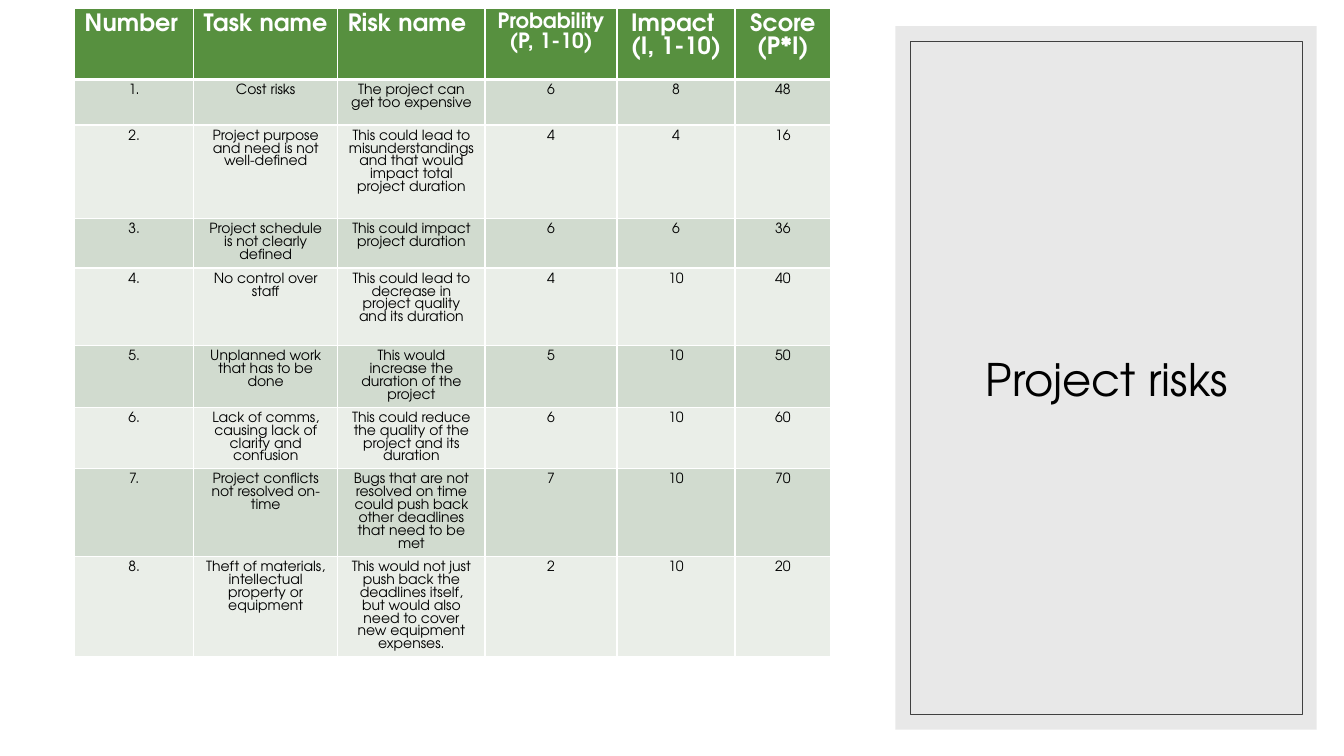
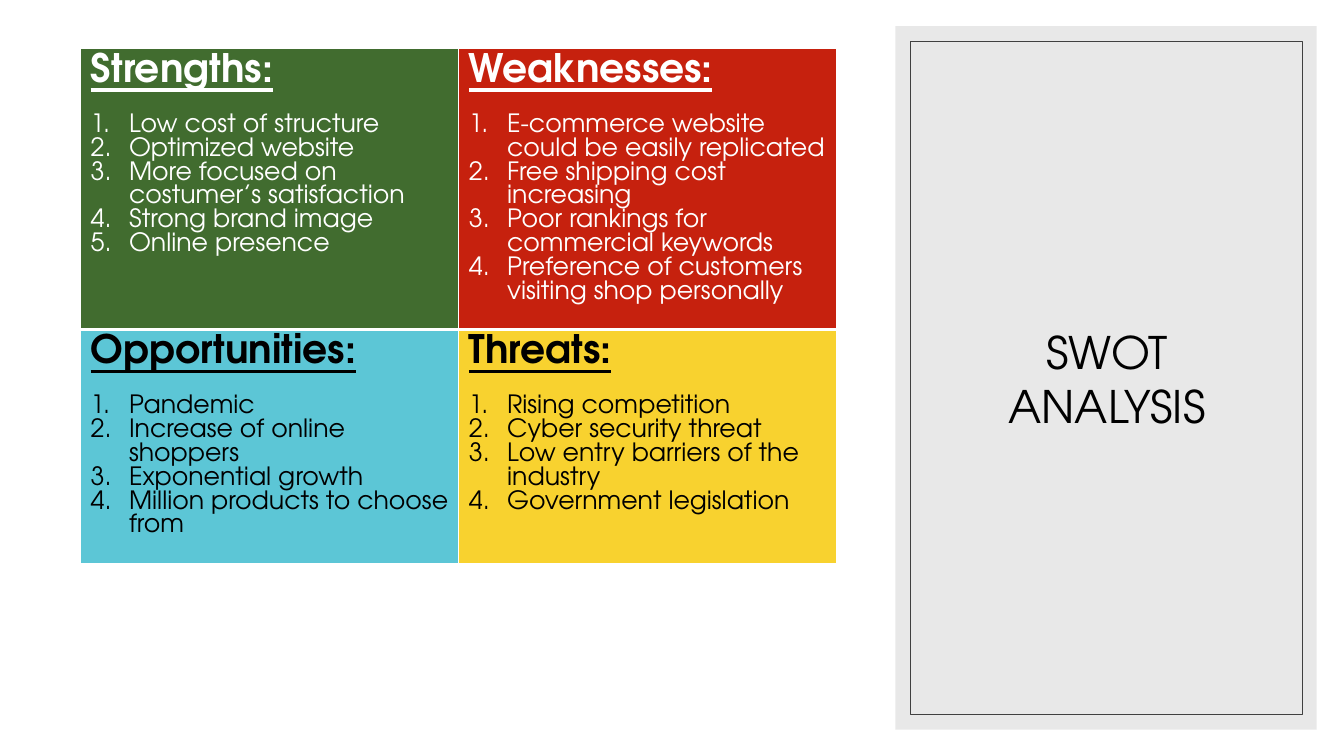
from lxml import etree
from pptx import Presentation
from pptx.dml.color import RGBColor
from pptx.enum.shapes import MSO_SHAPE
from pptx.enum.text import MSO_ANCHOR, PP_ALIGN
from pptx.oxml.ns import qn
from pptx.util import Inches, Pt

RECT = MSO_SHAPE.RECTANGLE
MIDDLE = MSO_ANCHOR.MIDDLE
LEFT, CENTER = PP_ALIGN.LEFT, PP_ALIGN.CENTER

FONT = "TeX Gyre Adventor"
BLACK = RGBColor(0x00, 0x00, 0x00)
WHITE = RGBColor(0xFF, 0xFF, 0xFF)
PANEL = RGBColor(0xD9, 0xD9, 0xD9)
FRAME = RGBColor(0x40, 0x40, 0x40)
HEADER = RGBColor(0x57, 0x90, 0x3F)
BANDS = [RGBColor(0xD1, 0xDB, 0xCF), RGBColor(0xEA, 0xEE, 0xE8)]
GREEN = RGBColor(0x41, 0x6C, 0x2F)
RED = RGBColor(0xC6, 0x21, 0x0E)
BLUE = RGBColor(0x5C, 0xC6, 0xD6)
YELLOW = RGBColor(0xF8, 0xD2, 0x2F)

# Line height in points for each text size
LINE_HEIGHT = {10: 9.2, 15: 14.1, 17: 16.2, 18: 17, 28: 26, 32: 38}


def add_text(tf, text, size, color, align=LEFT, bold=False):
    """Fill the first paragraph if it is empty, otherwise append one."""
    p = tf.paragraphs[0] if not tf.text else tf.add_paragraph()
    p.alignment = align
    p.line_spacing = Pt(LINE_HEIGHT[size])
    r = p.add_run()
    r.text = text
    r.font.name = FONT
    r.font.size = Pt(size)
    r.font.bold = bold
    r.font.color.rgb = color
    return p


def style_cell(cell, fill, bottom=1):
    """Set the fill and the white borders of a cell."""
    cell.fill.solid()
    cell.fill.fore_color.rgb = fill
    tcPr = cell._tc.get_or_add_tcPr()
    widths = {"a:lnL": 1, "a:lnR": 1, "a:lnT": 1, "a:lnB": bottom}
    for i, (tag, width) in enumerate(widths.items()):
        ln = etree.Element(qn(tag), w=str(Pt(width)))
        line_fill = etree.SubElement(ln, qn("a:solidFill"))
        etree.SubElement(line_fill, qn("a:srgbClr"), val=str(WHITE))
        tcPr.insert(i, ln)


prs = Presentation()
prs.slide_width, prs.slide_height = Inches(13.33), Inches(7.5)

# Side panel with title, and an empty table, on both slides
COLS = [[1.18, 1.43, 1.46, 1.31, 1.17, 0.95], [3.75, 3.75]]
ROWS = [[0.71, 0.45, 0.93, 0.49, 0.77, 0.61, 0.61, 0.87, 0.99], [2.79, 2.32]]
tables = []
for title, left, top, cols, rows in zip(
        ["Project risks", "SWOT ANALYSIS"], [0.74, 0.8], [0.08, 0.48], COLS, ROWS):
    s = prs.slides.add_slide(prs.slide_layouts[6])

    panel = s.shapes.add_shape(RECT, Inches(8.88), Inches(0.26), Inches(4.18), Inches(6.98))
    panel.shadow.inherit = False
    panel.fill.solid()
    panel.fill.fore_color.rgb = PANEL
    panel.line.fill.background()
    color = panel._element.spPr.find(qn("a:solidFill"))[0]
    etree.SubElement(color, qn("a:alpha"), val="60000")

    frame = s.shapes.add_shape(RECT, Inches(9.03), Inches(0.41), Inches(3.89), Inches(6.68))
    frame.shadow.inherit = False
    frame.fill.background()
    frame.line.color.rgb = FRAME
    frame.line.width = Pt(0.5)

    tf = s.shapes.add_textbox(Inches(9.28), Inches(0.66), Inches(3.4), Inches(6.2)).text_frame
    tf.word_wrap = True
    tf.vertical_anchor = MIDDLE
    add_text(tf, title, 32, BLACK, CENTER)

    table = s.shapes.add_table(len(rows), len(cols), Inches(left), Inches(top),
                               Inches(sum(cols)), Inches(sum(rows))).table
    table.first_row = table.horz_banding = False
    for column, width in zip(table.columns, cols):
        column.width = Inches(width)
    for row, height in zip(table.rows, rows):
        row.height = Inches(height)
    tables.append(table)
risk_table, swot_table = tables

# Risk table: header
headers = [
    (["Number"], 17, LEFT),
    (["Task name"], 17, LEFT),
    (["Risk name"], 17, LEFT),
    (["Probability (P, 1-10)"], 15, CENTER),
    (["Impact ", "(I, 1-10)"], 17, CENTER),
    (["Score", "(P*I)"], 17, CENTER),
]
for col, (lines, size, align) in enumerate(headers):
    cell = risk_table.cell(0, col)
    style_cell(cell, HEADER, bottom=3)
    for line in lines:
        add_text(cell.text_frame, line, size, WHITE, align, bold=True)

# Risk table: task, risk, probability and impact; the score is their product
risks = [
    ("Cost risks", "The project can get too expensive", 6, 8),
    ("Project purpose and need is not well-defined",
     "This could lead to misunderstandings and that would impact total project duration", 4, 4),
    ("Project schedule is not clearly defined", "This could impact project duration", 6, 6),
    ("No control over staff",
     "This could lead to decrease in project quality and its duration", 4, 10),
    ("Unplanned work that has to be done",
     "This would increase the duration of the project", 5, 10),
    ("Lack of comms, causing lack of clarity and confusion",
     "This could reduce the quality of the project and its duration", 6, 10),
    ("Project conflicts not resolved on-time",
     "Bugs that are not resolved on time could push back other deadlines that need to be met",
     7, 10),
    ("Theft of materials, intellectual property or equipment",
     "This would not just push back the deadlines itself, but would also need to cover "
     "new equipment expenses.", 2, 10),
]
for row, (task, risk, probability, impact) in enumerate(risks, 1):
    values = [f"{row}.", task, risk, probability, impact, probability * impact]
    for col, value in enumerate(values):
        cell = risk_table.cell(row, col)
        style_cell(cell, BANDS[(row - 1) % 2])
        add_text(cell.text_frame, str(value), 10, BLACK, CENTER)

# SWOT table: heading and numbered list in each quadrant
quadrants = [
    ("Strengths:", GREEN, WHITE, [
        "Low cost of structure", "Optimized website",
        "More focused on costumer’s satisfaction", "Strong brand image", "Online presence"]),
    ("Weaknesses:", RED, WHITE, [
        "E-commerce website could be easily replicated", "Free shipping cost increasing",
        "Poor rankings for commercial keywords",
        "Preference of customers visiting shop personally"]),
    ("Opportunities:", BLUE, BLACK, [
        "Pandemic", "Increase of online shoppers", "Exponential growth",
        "Million products to choose from"]),
    ("Threats:", YELLOW, BLACK, [
        "Rising competition", "Cyber security threat", "Low entry barriers of the industry",
        "Government legislation"]),
]
for i, (heading, fill, color, items) in enumerate(quadrants):
    row, col = divmod(i, 2)
    cell = swot_table.cell(row, col)
    style_cell(cell, fill, bottom=1 if row else 3)
    p = add_text(cell.text_frame, heading, 28, color, bold=True)
    p.runs[0].font.underline = True
    p.space_after = Pt(17)
    for item in items:
        p = add_text(cell.text_frame, item, 18, color)
        pPr = p._p.get_or_add_pPr()
        pPr.set("marL", str(Inches(0.38)))
        pPr.set("indent", str(-Inches(0.38)))
        etree.SubElement(pPr, qn("a:buFont"), typeface="+mj-lt")
        etree.SubElement(pPr, qn("a:buAutoNum"), type="arabicPeriod")

prs.save("out.pptx")
